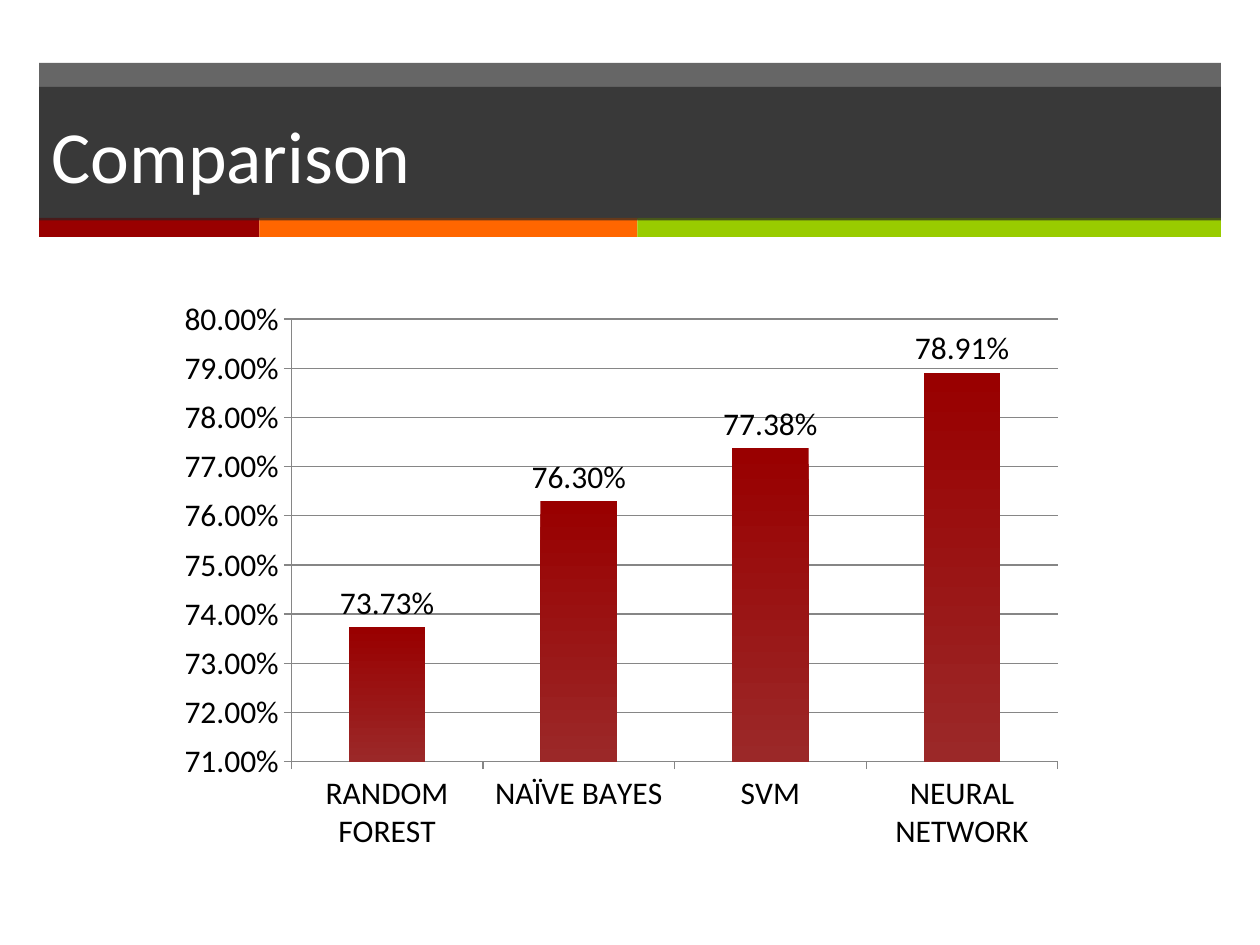
from dataclasses import dataclass

from lxml import etree
from pptx import Presentation
from pptx.chart.data import CategoryChartData
from pptx.dml.color import RGBColor
from pptx.enum import chart as ch, shapes, text
from pptx.oxml.ns import qn
from pptx.util import Inches, Pt


@dataclass(frozen=True)
class Theme:
    font: str = "Calibri"
    title_size: int = 42
    chart_size: int = 18
    band: str = "262626"
    band_alpha: int = 70
    red: str = "990000"
    red_light: str = "9B2828"
    orange: str = "FF6600"
    green: str = "99CC00"
    white: str = "FFFFFF"
    black: str = "000000"
    axis: str = "868686"


def rgb(value):
    return RGBColor.from_string(value)


class SlideBuilder:
    def __init__(self, slide, theme):
        self.slide = slide
        self.theme = theme

    def style_font(self, font, size, color):
        font.name = self.theme.font
        font.size = Pt(size)
        font.color.rgb = rgb(color)

    def rect(self, left, top, width, height, color, alpha=None):
        """Add a borderless rectangle; alpha is the opacity in percent."""
        sp = self.slide.shapes.add_shape(
            shapes.MSO_SHAPE.RECTANGLE,
            Inches(left), Inches(top), Inches(width), Inches(height))
        sp.shadow.inherit = False
        sp.fill.solid()
        sp.fill.fore_color.rgb = rgb(color)
        sp.line.fill.background()
        if alpha is not None:
            clr = sp.fill._xPr.find(".//" + qn("a:srgbClr"))
            etree.SubElement(clr, qn("a:alpha"), val=str(alpha * 1000))
        return sp

    def stripes(self, left, top, height, parts):
        """Lay coloured stripes end to end from (width, color) pairs."""
        for width, color in parts:
            self.rect(left, top, width, height, color)
            left += width

    def title(self, left, top, width, height, words):
        th = self.theme
        sp = self.rect(left, top, width, height, th.band, th.band_alpha)
        tf = sp.text_frame
        tf.word_wrap = True
        tf.vertical_anchor = text.MSO_ANCHOR.MIDDLE
        p = tf.paragraphs[0]
        p.text = words
        p.alignment = text.PP_ALIGN.LEFT
        self.style_font(p.font, th.title_size, th.white)

    def column_chart(self, left, top, width, height, scores, low, high, step):
        th = self.theme
        data = CategoryChartData(number_format="0.00%")
        data.categories = list(scores)
        data.add_series("Series 1", list(scores.values()))
        chart = self.slide.shapes.add_chart(
            ch.XL_CHART_TYPE.COLUMN_CLUSTERED,
            Inches(left), Inches(top), Inches(width), Inches(height),
            data).chart
        chart.has_legend = False
        chart.has_title = False
        self.style_font(chart.font, th.chart_size, th.black)

        values = chart.value_axis
        values.minimum_scale, values.maximum_scale = low, high
        values.major_unit = step
        values.has_major_gridlines = True
        values.tick_labels.number_format = "0.00%"
        values.tick_labels.number_format_is_linked = False
        for axis in (values, chart.category_axis):
            axis.major_tick_mark = ch.XL_TICK_MARK.OUTSIDE
        for part in (values, values.major_gridlines, chart.category_axis):
            part.format.line.color.rgb = rgb(th.axis)
            part.format.line.width = Pt(0.75)

        plot = chart.plots[0]
        plot.gap_width = 150
        plot.vary_by_categories = False
        plot.has_data_labels = True
        labels = plot.data_labels
        labels.show_value = True
        labels.number_format = "0.00%"
        labels.number_format_is_linked = False
        labels.position = ch.XL_LABEL_POSITION.OUTSIDE_END

        fill = plot.series[0].format.fill
        fill.gradient()
        fill.gradient_angle = 270
        for stop, color in zip(fill.gradient_stops, (th.red, th.red_light)):
            stop.color.rgb = rgb(color)


def main():
    prs = Presentation()
    prs.slide_width, prs.slide_height = Inches(10), Inches(7.5)
    theme = Theme()
    page = SlideBuilder(prs.slides.add_slide(prs.slide_layouts[6]), theme)

    left, width = 0.31, 9.38
    page.rect(left, 0.5, width, 1.24, theme.band, theme.band_alpha)
    page.stripes(left, 1.73, 0.15, [
        (1.75, theme.red), (3, theme.orange), (4.63, theme.green)])
    page.title(left, 0.69, width, 1.06, "Comparison")
    page.column_chart(1.32, 2.29, 7.22, 4.55, {
        "RANDOM FOREST": 0.7373,
        "NAÏVE BAYES": 0.763,
        "SVM": 0.7738,
        "NEURAL NETWORK": 0.7891,
    }, low=0.71, high=0.8, step=0.01)

    prs.save("out.pptx")


if __name__ == "__main__":
    main()
